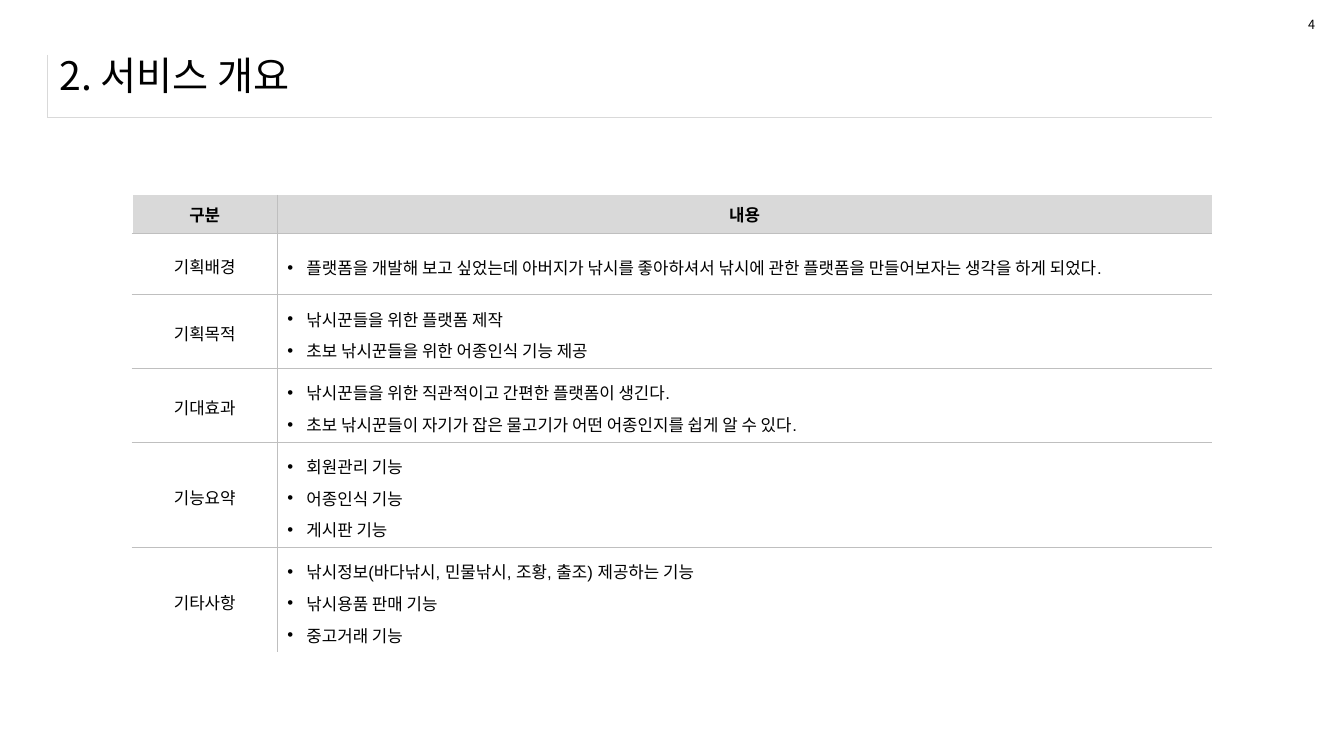
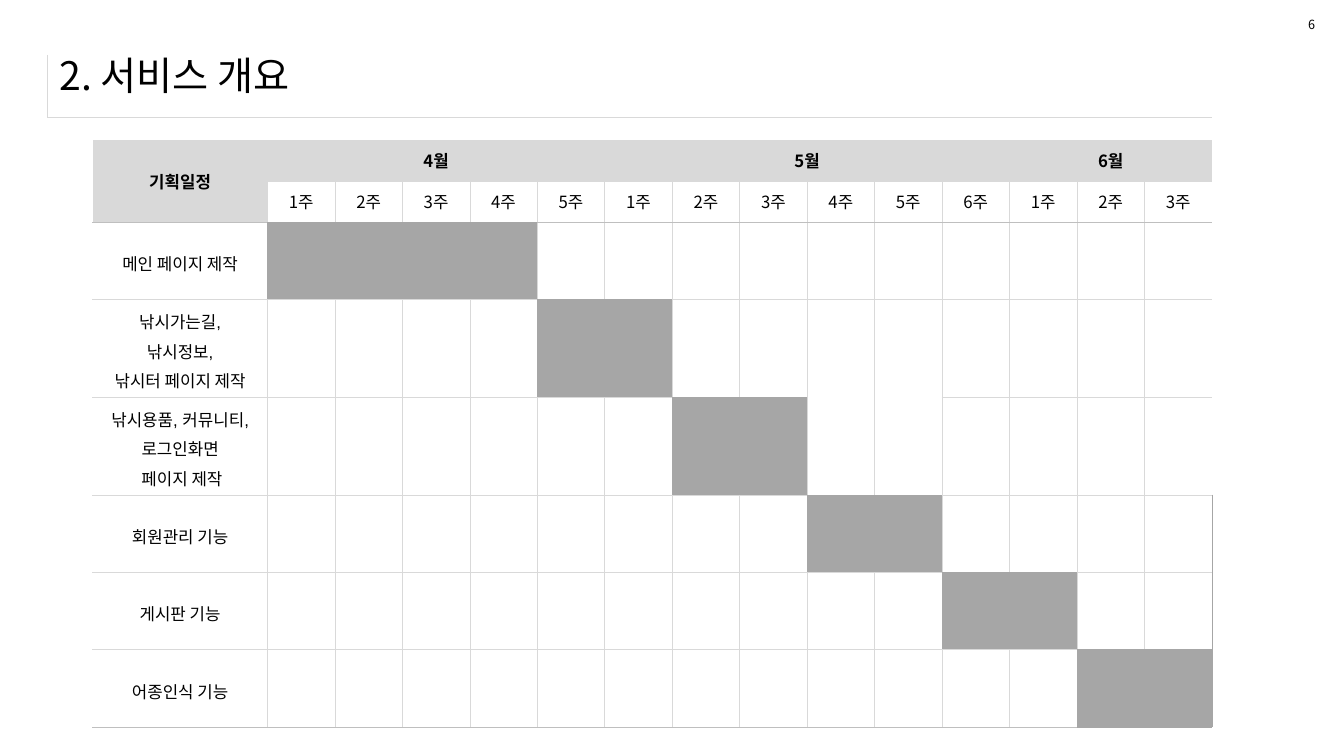
from itertools import accumulate

from pptx import Presentation
from pptx.dml.color import RGBColor
from pptx.enum.text import MSO_ANCHOR as ANCHOR, MSO_AUTO_SIZE as AUTO, PP_ALIGN as ALIGN
from pptx.oxml.ns import qn
from pptx.util import Cm, Pt
from lxml.etree import SubElement

BLACK = RGBColor(0x00, 0x00, 0x00)
WHITE = RGBColor(0xFF, 0xFF, 0xFF)
HEAD = RGBColor(0xD9, 0xD9, 0xD9)
RULE = RGBColor(0xBF, 0xBF, 0xBF)
BAR = RGBColor(0xA6, 0xA6, 0xA6)

KOREAN = "Noto Sans CJK KR"
LATIN = "Arial"

# Cell edges as (colour, width in points)
HAIR = (HEAD, 0.25)
THIN = (RULE, 0.25)
GRID = (HEAD, 0.5)
BAR_EDGE = (BAR, 0.5)
BLANK = (WHITE, 1)

TITLE = "2. 서비스 개요"
OVERVIEW = [
    ("기획배경", 1.53, ["플랫폼을 개발해 보고 싶었는데 아버지가 낚시를 좋아하셔서 "
                     "낚시에 관한 플랫폼을 만들어보자는 생각을 하게 되었다."]),
    ("기획목적", 1.86, ["낚시꾼들을 위한 플랫폼 제작",
                     "초보 낚시꾼들을 위한 어종인식 기능 제공"]),
    ("기대효과", 1.86, ["낚시꾼들을 위한 직관적이고 간편한 플랫폼이 생긴다.",
                     "초보 낚시꾼들이 자기가 잡은 물고기가 어떤 어종인지를 쉽게 알 수 있다."]),
    ("기능요약", 2.65, ["회원관리 기능", "어종인식 기능", "게시판 기능"]),
    ("기타사항", 2.65, ["낚시정보(바다낚시, 민물낚시, 조황, 출조) 제공하는 기능",
                     "낚시용품 판매 기능", "중고거래 기능"]),
]
MONTHS = [("4월", 5), ("5월", 6), ("6월", 3)]
# Task lines, row height, first week, number of weeks
TASKS = [
    (["메인 페이지 제작"], 1.95, 1, 4),
    (["낚시가는길,", "낚시정보,", "낚시터 페이지 제작"], 2.46, 5, 2),
    (["낚시용품, 커뮤니티, 로그인화면", " 페이지 제작"], 2.46, 7, 2),
    (["회원관리 기능"], 1.95, 9, 2),
    (["게시판 기능"], 1.95, 11, 2),
    (["어종인식 기능"], 1.95, 13, 2),
]


def write(tf, lines, size=12, font=KOREAN, bold=False, align=None, spacing=None):
    """Fill a text frame with one paragraph per line."""
    tf.text = "\n".join(lines)
    for p in tf.paragraphs:
        p.alignment = align
        p.line_spacing = spacing
        for r in p.runs:
            r.font.size, r.font.bold, r.font.name = Pt(size), bold, font
            r.font.color.rgb = BLACK
            SubElement(r.font._element, qn("a:ea"), typeface=KOREAN)


def add_bullets(tf):
    """Give every paragraph a hanging round bullet."""
    for p in tf.paragraphs:
        pPr = p._p.get_or_add_pPr()
        pPr.set("marL", str(Cm(0.48)))
        pPr.set("indent", str(-Cm(0.48)))
        SubElement(pPr, qn("a:buFont"), typeface=LATIN)
        SubElement(pPr, qn("a:buChar"), char="•")


def style_cell(cell, fill=None, left=None, right=None, top=None, bottom=None):
    """Set a cell's fill and its four edges; None leaves a part undrawn."""
    cell.vertical_anchor = ANCHOR.MIDDLE
    if fill is None:
        cell.fill.background()
    else:
        cell.fill.solid()
        cell.fill.fore_color.rgb = fill
    tcPr = cell._tc.get_or_add_tcPr()
    edges = zip("LRTB", (left, right, top, bottom))
    for i, (side, edge) in enumerate(edges):
        ln = SubElement(tcPr, qn("a:ln" + side))
        tcPr.insert(i, ln)
        if edge is None:
            ln.set("w", "0")
            SubElement(ln, qn("a:noFill"))
        else:
            color, width = edge
            ln.set("w", str(Pt(width)))
            paint = SubElement(ln, qn("a:solidFill"))
            SubElement(paint, qn("a:srgbClr"), val=str(color))


def add_grid(s, left, top, widths, heights):
    """Add a plain table with the given column widths and row heights in cm."""
    frame = s.shapes.add_table(len(heights), len(widths), Cm(left), Cm(top),
                               Cm(sum(widths)), Cm(sum(heights)))
    table = frame.table
    table.first_row = table.horz_banding = False
    for column, width in zip(table.columns, widths):
        column.width = Cm(width)
    for row, height in zip(table.rows, heights):
        row.height = Cm(height)
    return table


def add_text(s, left, top, width, height, text, size):
    """Add a one-line text box and return its text frame."""
    tf = s.shapes.add_textbox(Cm(left), Cm(top), Cm(width), Cm(height)).text_frame
    write(tf, [text], size)
    return tf


def add_base(prs, number):
    """Add a slide with the ruled title frame, the title and the page number."""
    s = prs.slides.add_slide(prs.slide_layouts[6])
    title_frame = add_grid(s, 1.19, 1.38, [29.36], [1.57])
    style_cell(title_frame.cell(0, 0), left=HAIR, bottom=HAIR)
    tf = add_text(s, 1.25, 1.04, 31.72, 1.7, TITLE, 28)
    tf.word_wrap = True
    tf.vertical_anchor = ANCHOR.MIDDLE
    tf = add_text(s, 32.72, 0.3, 0.69, 0.64, str(number), 9)
    tf.word_wrap = False
    tf.auto_size = AUTO.SHAPE_TO_FIT_TEXT
    return s


def add_overview(s, left, top):
    """Add the table of service topics and their bullet points."""
    heights = [0.97] + [height for _, height, _ in OVERVIEW]
    table = add_grid(s, left, top, [3.66, 23.55], heights)
    for col, text in enumerate(["구분", "내용"]):
        cell = table.cell(0, col)
        write(cell.text_frame, [text], bold=True, align=ALIGN.CENTER)
        style_cell(cell, HEAD, left=THIN if col else BLANK,
                   right=None if col else THIN, bottom=THIN)
    for row, (topic, _, points) in enumerate(OVERVIEW, 1):
        bottom = THIN if row < len(OVERVIEW) else None
        name, body = table.cell(row, 0), table.cell(row, 1)
        write(name.text_frame, [topic], font=LATIN, align=ALIGN.CENTER, spacing=1.2)
        style_cell(name, left=BLANK, right=THIN, top=THIN, bottom=bottom)
        write(body.text_frame, points, font=LATIN, align=ALIGN.JUSTIFY, spacing=1.3)
        add_bullets(body.text_frame)
        style_cell(body, left=THIN, top=THIN, bottom=bottom)


def add_schedule_head(table):
    """Fill the month and week rows of the schedule."""
    corner = table.cell(0, 0)
    corner.merge(table.cell(1, 0))
    write(corner.text_frame, ["기획일정"], bold=True, align=ALIGN.CENTER)
    style_cell(corner, HEAD, left=BLANK, bottom=THIN)
    starts = accumulate((weeks for _, weeks in MONTHS), initial=1)
    for first, (month, weeks) in zip(starts, MONTHS):
        cell = table.cell(0, first)
        cell.merge(table.cell(0, first + weeks - 1))
        write(cell.text_frame, [month], bold=True, align=ALIGN.CENTER)
        style_cell(cell, HEAD, bottom=GRID)
        for week in range(weeks):
            col = first + week
            cell = table.cell(1, col)
            write(cell.text_frame, [f"{week + 1}주"], align=ALIGN.CENTER)
            style_cell(cell, WHITE, left=GRID, top=GRID, bottom=THIN,
                       right=GRID if col < len(table.columns) - 1 else None)


def add_schedule(s, left, top):
    """Add the weekly schedule, with one bar of filled cells per task."""
    weeks = sum(count for _, count in MONTHS)
    heights = [1.04] * 2 + [height for _, height, _, _ in TASKS]
    table = add_grid(s, left, top, [4.4] + [1.7] * weeks, heights)
    add_schedule_head(table)
    open_weeks, open_row = (9, 10), 3  # no rule below these weeks of this row
    edged_rows = (5, 6)  # rows closed by a darker right edge
    for row, (lines, _, first, count) in enumerate(TASKS, 2):
        above = THIN if row == 2 else GRID
        below = THIN if row == len(heights) - 1 else GRID
        name = table.cell(row, 0)
        write(name.text_frame, lines, font=LATIN, align=ALIGN.CENTER, spacing=1.2)
        style_cell(name, left=BLANK, right=GRID, bottom=below,
                   top=THIN if row <= 3 else GRID)
        for col in range(1, weeks + 1):
            cell = table.cell(row, col)
            if first <= col < first + count:
                style_cell(cell, BAR, *[BAR_EDGE] * 4)
                continue
            is_open = col in open_weeks
            last = BAR_EDGE if row in edged_rows else None
            style_cell(cell, left=GRID, right=GRID if col < weeks else last,
                       top=None if is_open and row == open_row + 1 else above,
                       bottom=None if is_open and row == open_row else below)


prs = Presentation()
prs.slide_width, prs.slide_height = Cm(33.87), Cm(19.05)
add_overview(add_base(prs, 4), 3.33, 4.91)
add_schedule(add_base(prs, 6), 2.34, 3.52)
prs.save("out.pptx")
